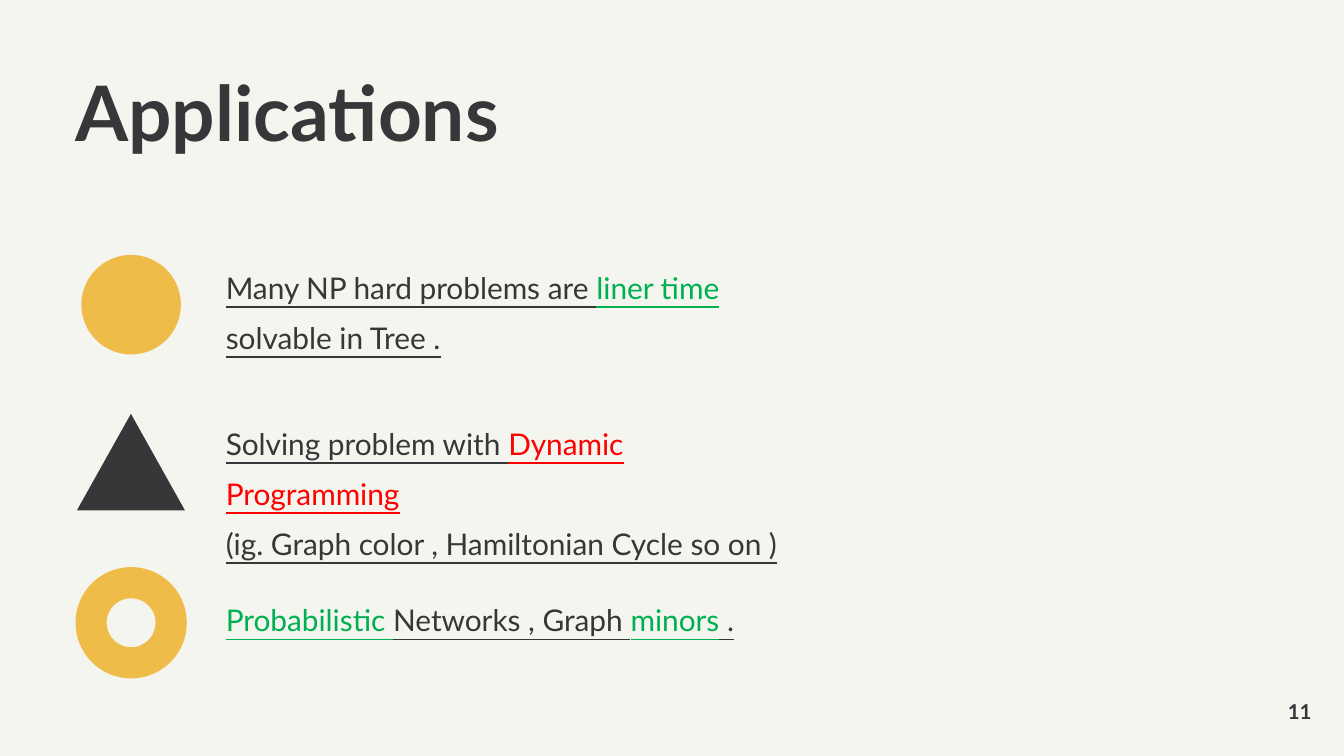
from pptx import Presentation
from pptx.dml.color import RGBColor as RGB
from pptx.enum.shapes import MSO_SHAPE as SHAPE
from pptx.enum.text import MSO_ANCHOR as ANCHOR, PP_ALIGN as ALIGN
from pptx.util import Inches, Pt

COLORS = {"paper": "F5F5EF", "ink": "363739", "gold": "EFBC49",
          "green": "00B050", "red": "FF0000"}
TITLE = {"size": Pt(41), "bold": True}
BODY = {"size": Pt(16), "underline": True}
NUMBER = {"size": Pt(11), "bold": True}

prs = Presentation()
prs.slide_width = Inches(10)
prs.slide_height = prs.slide_width * 9 // 16
s = prs.slides.add_slide(prs.slide_layouts[6])
s.background.fill.solid()
s.background.fill.fore_color.rgb = RGB.from_string(COLORS["paper"])


def share(x, y, w, h):
    W, H = prs.slide_width, prs.slide_height
    return [int(v * side / 100) for v, side in zip((x, y, w, h), (W, H, W, H))]


def add_text(box, paragraphs, font, para, anchor=ANCHOR.TOP):
    tf = s.shapes.add_textbox(*share(*box)).text_frame
    frame = {"word_wrap": True, "vertical_anchor": anchor, "margin_left": 0,
             "margin_right": 0, "margin_top": 0, "margin_bottom": 0}
    for key, value in frame.items():
        setattr(tf, key, value)
    for i, runs in enumerate(paragraphs):
        p = tf.add_paragraph() if i else tf.paragraphs[0]
        for key, value in para.items():
            setattr(p, key, value)
        for text, color in runs:
            r = p.add_run()
            r.text = text
            for key, value in {"name": "Lato", **font}.items():
                setattr(r.font, key, value)
            r.font.color.rgb = RGB.from_string(COLORS[color])


icons = [
    (SHAPE.ISOSCELES_TRIANGLE, (5.73, 54.74, 8.03, 12.76), "ink"),
    (SHAPE.OVAL, (6.06, 33.73, 7.4, 13.16), "gold"),
    (SHAPE.DONUT, (5.62, 75.02, 8.28, 14.72), "gold"),
]
for kind, box, color in icons:
    sp = s.shapes.add_shape(kind, *share(*box))
    sp.shadow.inherit = False
    sp.fill.solid()
    sp.fill.fore_color.rgb = RGB.from_string(COLORS[color])
    sp.line.fill.background()
    if kind == SHAPE.DONUT:
        sp.adjustments[0] = 0.28

add_text((5.6, 9.96, 70.9, 14.04), [[("Applications", "ink")]],
         TITLE, {"line_spacing": 0.9})

points = [
    (33.73, 13.33, [[("Many NP hard problems are ", "ink"), ("liner time ", "green"),
                     ("solvable in Tree .", "ink")]]),
    (54.36, 13.33, [[("Solving problem with ", "ink"), ("Dynamic Programming", "red")],
                    [("(ig. Graph color , Hamiltonian Cycle so on )", "ink")]]),
    (77.72, 6.76, [[("Probabilistic ", "green"), ("Networks , Graph ", "ink"),
                    ("minors", "green"), (" .", "ink")]]),
]
for top, height, paragraphs in points:
    add_text((16.8, top, 42.9, height), paragraphs, BODY, {"line_spacing": 1.4})

add_text((91.6, 92.31, 6, 3.56), [[("11", "ink")]],
         NUMBER, {"alignment": ALIGN.RIGHT}, ANCHOR.MIDDLE)

prs.save("out.pptx")
